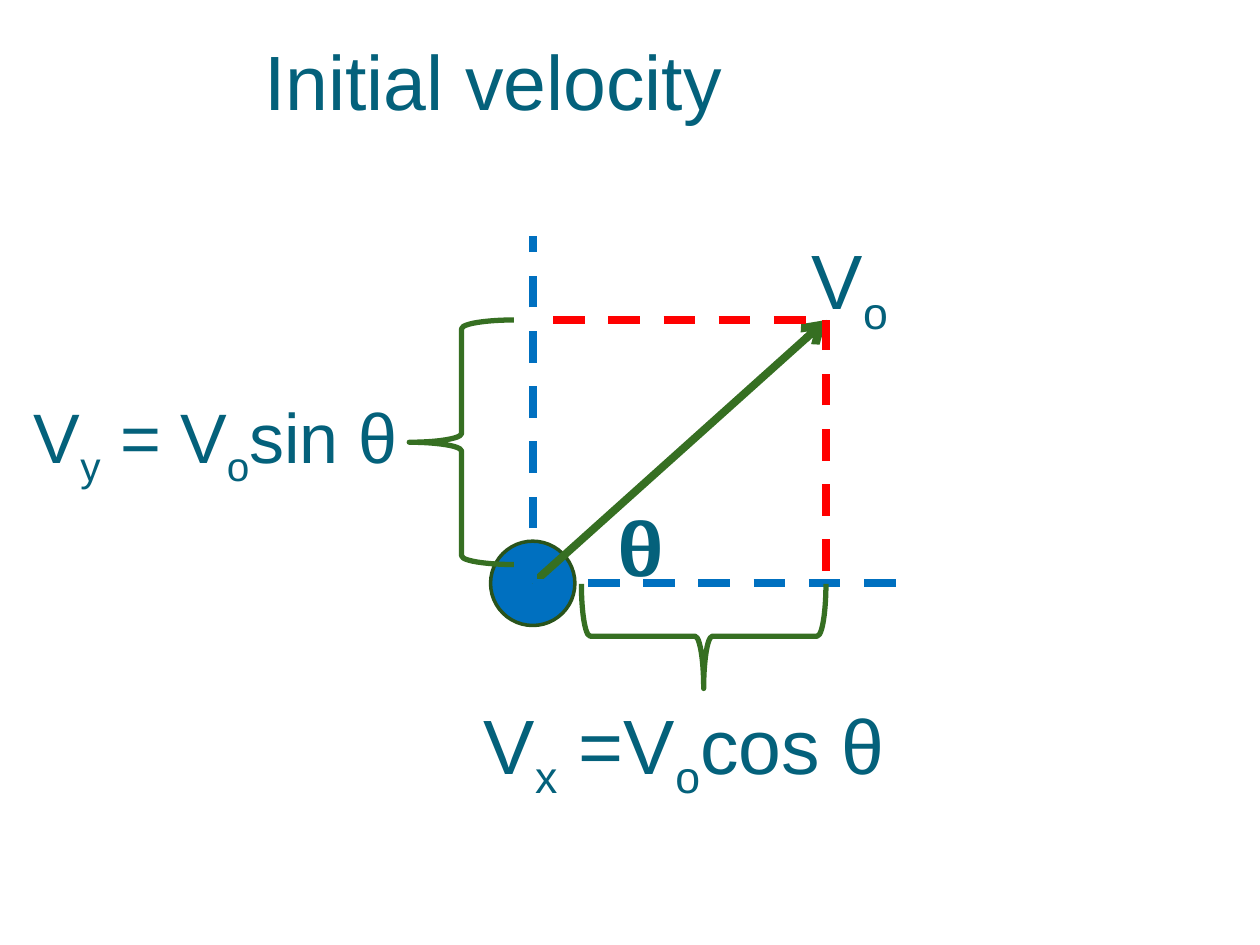
from lxml import etree
from pptx import Presentation
from pptx.dml.color import RGBColor
from pptx.enum.dml import MSO_LINE_DASH_STYLE as Dash
from pptx.enum.shapes import MSO_CONNECTOR as Connector, MSO_SHAPE as Shape
from pptx.enum.text import MSO_ANCHOR as Anchor, PP_ALIGN as Align
from pptx.oxml.ns import qn
from pptx.util import Cm, Pt

TEAL, BLUE, RED = "04617B", "0070C0", "FF0000"
GREEN, DARK_GREEN = "366F22", "29531B"

# Ends of the velocity vector, in cm
BALL_X, BALL_Y = 10.74, 11.76
TIP_X, TIP_Y = 16.66, 6.45
BALL_SIZE = 1.7
BRACE_DEPTH, BRACE_SPAN = 2.11, 4.93


def color(hex_code):
    return RGBColor.from_string(hex_code)


def add_label(slide, box, parts, size=44):
    """Add centred text; a part starting with "_" is set as a subscript."""
    label = slide.shapes.add_textbox(*map(Cm, box))
    frame = label.text_frame
    frame.word_wrap = True
    frame.vertical_anchor = Anchor.MIDDLE
    paragraph = frame.paragraphs[0]
    paragraph.alignment = Align.CENTER
    for part in parts:
        run = paragraph.add_run()
        run.text = part.removeprefix("_")
        run.font.name = "Arial"
        run.font.size = Pt(size)
        run.font.color.rgb = color(TEAL)
        if part.startswith("_"):
            run._r.get_or_add_rPr().set("baseline", "-25000")


def add_line(slide, start, end, hex_code):
    line = slide.shapes.add_connector(Connector.STRAIGHT, *map(Cm, start + end))
    line.line.color.rgb = color(hex_code)
    line.line.width = Pt(4.5)
    etree.SubElement(line._element.spPr, qn("a:effectLst"))
    return line


def add_dashed_line(slide, start, end, hex_code):
    add_line(slide, start, end, hex_code).line.dash_style = Dash.DASH


def add_arrow(slide, start, end, hex_code):
    arrow = add_line(slide, start, end, hex_code)
    etree.SubElement(arrow.line._get_or_add_ln(), qn("a:tailEnd"), type="arrow")


def add_ball(slide):
    corner = BALL_X - BALL_SIZE / 2, BALL_Y - BALL_SIZE / 2
    ball = slide.shapes.add_shape(Shape.OVAL, *map(Cm, corner + (BALL_SIZE, BALL_SIZE)))
    ball.shadow.inherit = False
    ball.fill.solid()
    ball.fill.fore_color.rgb = color(BLUE)
    ball.line.color.rgb = color(DARK_GREEN)
    ball.line.width = Pt(2)


def add_brace(slide, left, top, rotation):
    brace = slide.shapes.add_shape(
        Shape.RIGHT_BRACE, Cm(left), Cm(top), Cm(BRACE_DEPTH), Cm(BRACE_SPAN))
    brace.rotation = rotation
    brace.shadow.inherit = False
    brace.fill.background()
    brace.line.color.rgb = color(GREEN)
    brace.line.width = Pt(3)


def main():
    prs = Presentation()
    prs.slide_width, prs.slide_height = Cm(25.4), Cm(19.05)
    slide = prs.slides.add_slide(prs.slide_layouts[6])
    ball, tip = (BALL_X, BALL_Y), (TIP_X, TIP_Y)

    add_label(slide, (1.27, 0.43, 17.35, 2.34), ["Initial velocity"])
    add_ball(slide)
    add_arrow(slide, ball, tip, GREEN)
    add_label(slide, (14.17, 4.17, 5.92, 3.17), ["V", "_o"])

    # Axes, then the projections of the tip
    add_dashed_line(slide, ball, (18.36, BALL_Y), BLUE)
    add_dashed_line(slide, ball, (BALL_X, 4.75), BLUE)
    add_dashed_line(slide, (TIP_X, 11.51), tip, RED)
    add_dashed_line(slide, (11.15, TIP_Y), tip, RED)

    add_label(slide, (9.09, 13.54, 9.4, 3.17), ["V", "_x", " =V", "_o", "cos θ"])
    add_brace(slide, 13.13, 10.36, 90)
    add_label(slide, (0, 7.32, 8.69, 3.17), ["V", "_y", " = V", "_o", "sin θ"], 40)
    add_brace(slide, 8.25, TIP_Y, 180)

    # Two offset letters make the angle look heavier
    for left in (11.58, 11.66):
        add_label(slide, (left, 9.63, 2.59, 2.74), ["θ"])

    prs.save("out.pptx")


if __name__ == "__main__":
    main()
